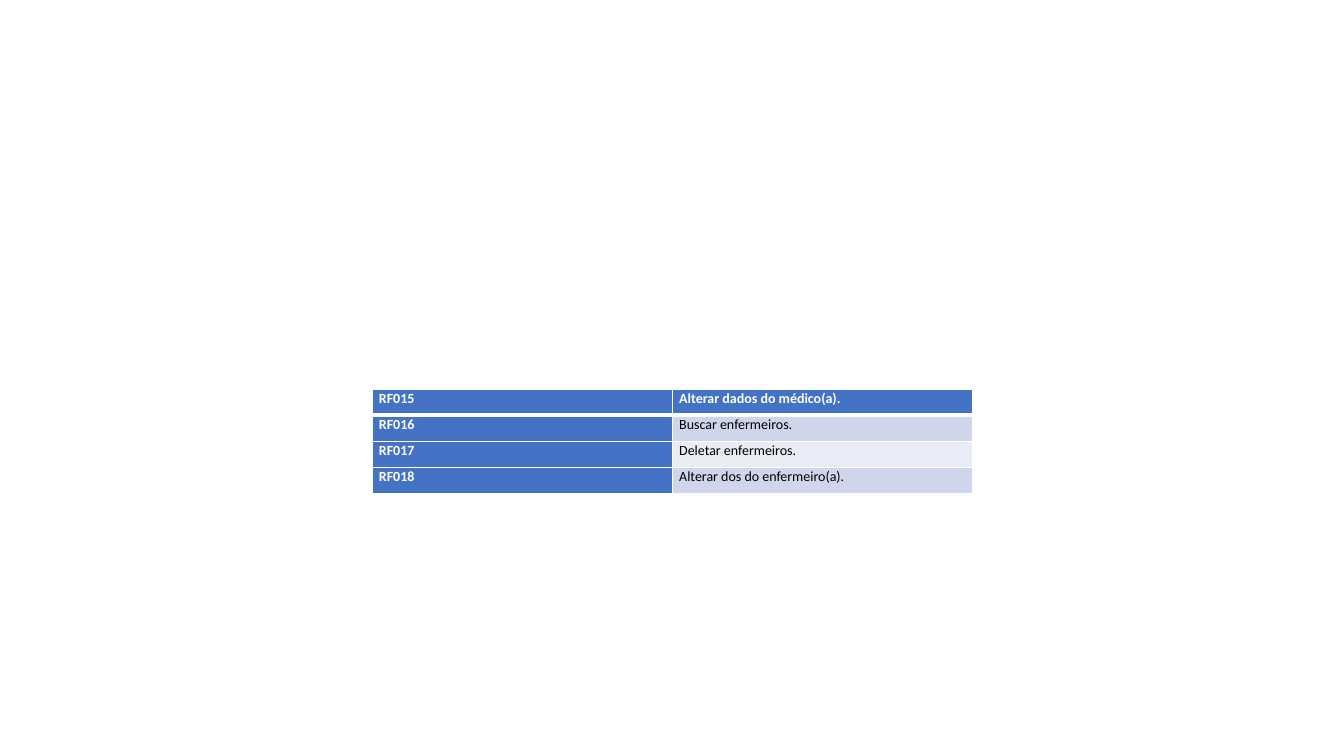
from lxml.etree import SubElement
from pptx import Presentation
from pptx.dml.color import RGBColor
from pptx.oxml.ns import qn
from pptx.util import Pt

COLORS = {
    "header": "4472C4",
    "band_dark": "CFD5EA",
    "band_light": "E9EBF5",
    "light": "FFFFFF",
    "dark": "000000",
}
REQUIREMENTS = [
    ("RF015", "Alterar dados do médico(a)."),
    ("RF016", "Buscar enfermeiros."),
    ("RF017", "Deletar enfermeiros."),
    ("RF018", "Alterar dos do enfermeiro(a)."),
]


def rgb(name):
    """Return the named colour."""
    return RGBColor.from_string(COLORS[name])


def add_borders(cell, widths):
    """Draw white cell borders, given the width of each side in points."""
    tc_pr = cell._tc.get_or_add_tcPr()
    for side, width in widths.items():
        ln = SubElement(tc_pr, qn(f"a:ln{side}"), w=str(Pt(width)))
        fill = SubElement(ln, qn("a:solidFill"))
        SubElement(fill, qn("a:srgbClr"), val=COLORS["light"])


def write_cell(cell, text, fill, color, bold):
    """Fill a cell and write its text."""
    cell.margin_left = cell.margin_right = Pt(5)
    cell.margin_top = cell.margin_bottom = 0
    cell.fill.solid()
    cell.fill.fore_color.rgb = rgb(fill)
    p = cell.text_frame.paragraphs[0]
    p.line_spacing = 1.07
    p.space_after = Pt(8)
    r = p.add_run()
    r.text = text
    r.font.name = "Calibri"
    r.font.size = Pt(10)
    r.font.bold = bold
    r.font.color.rgb = rgb(color)


def add_requirements_table(s, left, top, col_width, row_height):
    """Add the table with a header row, a header column and banded rows."""
    rows, cols = len(REQUIREMENTS), len(REQUIREMENTS[0])
    table = s.shapes.add_table(
        rows, cols, left, top, col_width * cols, row_height * rows
    ).table
    for col in table.columns:
        col.width = col_width
    for i, texts in enumerate(REQUIREMENTS):
        table.rows[i].height = row_height
        widths = {"L": 1, "R": 1, "T": 3 if i == 1 else 1, "B": 3 if i == 0 else 1}
        for j, text in enumerate(texts):
            cell = table.cell(i, j)
            is_header = i == 0 or j == 0
            band = "band_dark" if i % 2 else "band_light"
            add_borders(cell, widths)
            write_cell(
                cell,
                text,
                "header" if is_header else band,
                "light" if is_header else "dark",
                is_header,
            )


def main():
    """Build the slide and save it."""
    prs = Presentation()
    prs.slide_width, prs.slide_height = Pt(960), Pt(540)
    s = prs.slides.add_slide(prs.slide_layouts[6])
    add_requirements_table(s, Pt(265.7), Pt(278), Pt(214.5), Pt(18.6))
    prs.save("out.pptx")


if __name__ == "__main__":
    main()
